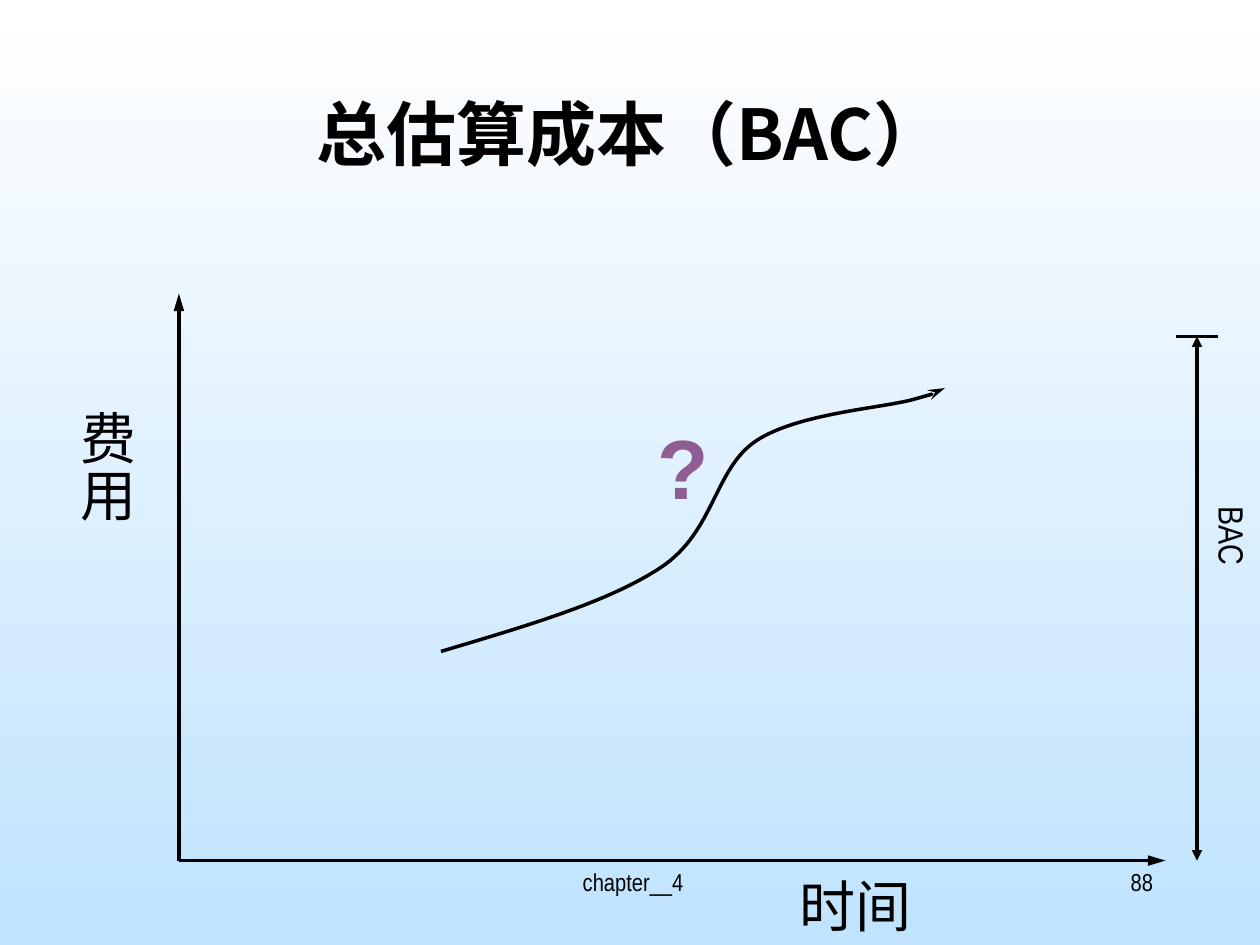
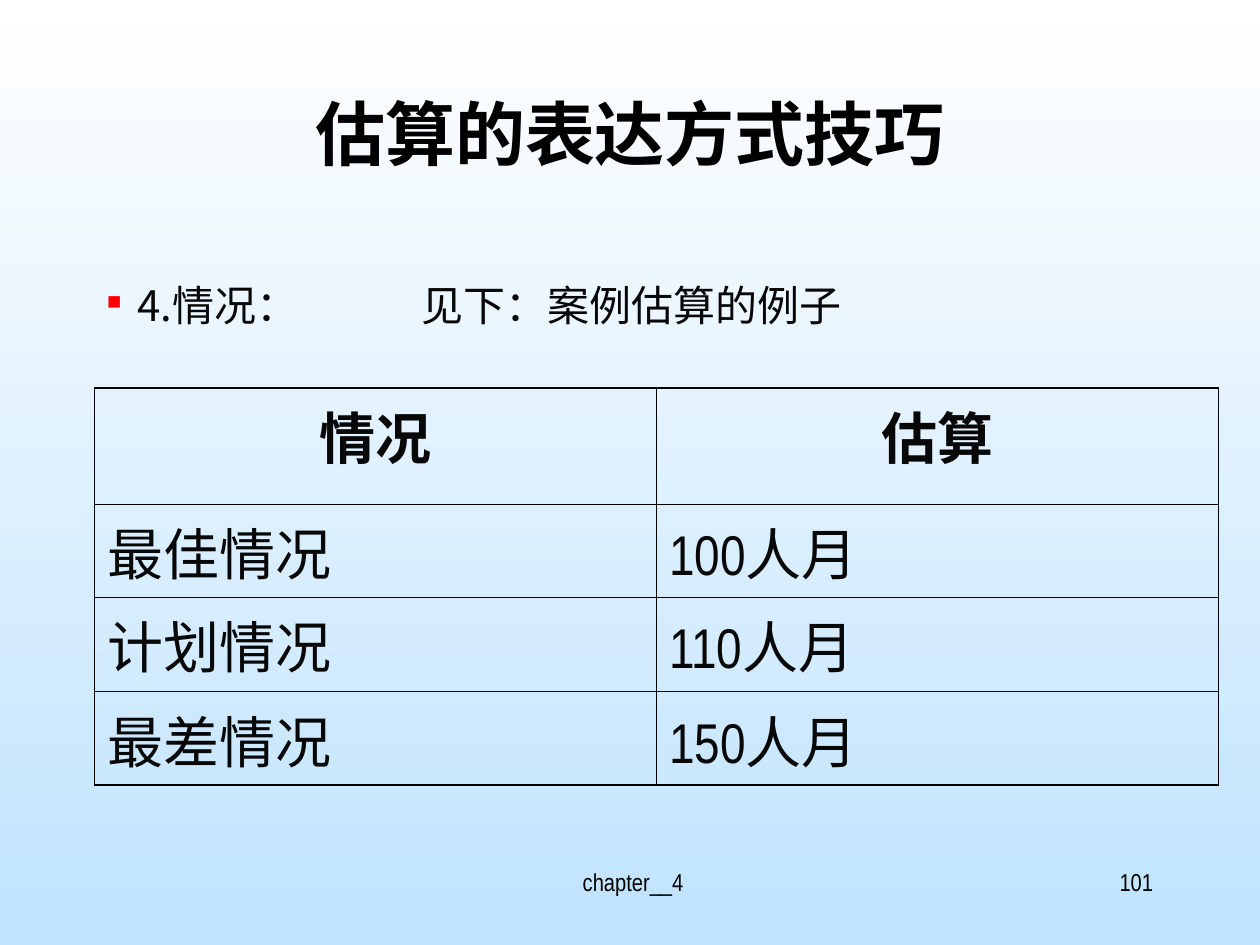
"""Build two slides on cost estimation: the BAC curve and a table of estimate cases."""
from dataclasses import dataclass
from typing import Optional

import pptx
import pptx.dml.color
import pptx.enum.shapes
import pptx.enum.text
import pptx.oxml
import pptx.oxml.ns
import pptx.util
from pptx.util import Inches

ALIGN = pptx.enum.text.PP_ALIGN
ANCHOR = pptx.enum.text.MSO_ANCHOR
NS = pptx.oxml.ns.nsdecls("a")
qn = pptx.oxml.ns.qn


@dataclass(frozen=True)
class Theme:
    ink: str = "000000"
    soft_ink: str = "080808"
    accent: str = "8E5E92"
    bullet: str = "FF0000"
    sky_top: str = "FFFFFF"
    sky_bottom: str = "C0E3FE"
    narrow: str = "Arial Narrow"
    cjk: str = "Noto Sans CJK SC"
    sans: str = "Arial"
    title_size: int = 40
    mark_size: int = 48
    large_size: int = 32
    body_size: int = 24
    label_size: int = 20
    footer_size: int = 14
    line_width: float = 2
    outer_border: float = 1.08
    inner_border: float = 0.45


THEME = Theme()


@dataclass(frozen=True)
class Label:
    text: str
    left: float
    top: float
    width: float
    height: float
    size: int
    font: str = THEME.narrow
    color: str = THEME.ink
    bold: bool = False
    align: ALIGN = ALIGN.LEFT
    vertical: bool = False
    wrap: bool = True


@dataclass(frozen=True)
class Line:
    x1: float
    y1: float
    x2: float
    y2: float
    head: Optional[str] = None
    tail: Optional[str] = None
    length: str = "med"


def rgb(color: str) -> pptx.dml.color.RGBColor:
    return pptx.dml.color.RGBColor.from_string(color)


def add_run(p, text: str, size: int, font: str, color: str, bold: bool = False) -> None:
    r = p.add_run()
    r.text = text
    r.font.size = pptx.util.Pt(size)
    r.font.name = font
    r.font.bold = bold
    r.font.color.rgb = rgb(color)
    ea = pptx.oxml.parse_xml(f'<a:ea {NS} typeface="{THEME.cjk}"/>')
    r.font._element.find(qn("a:latin")).addnext(ea)


def add_label(s, label: Label):
    sp = s.shapes.add_textbox(Inches(label.left), Inches(label.top),
                              Inches(label.width), Inches(label.height))
    tf = sp.text_frame
    tf.word_wrap = label.wrap
    if label.vertical:
        tf._txBody.bodyPr.set("vert", "eaVert")
        tf.margin_left = tf.margin_right = Inches(0.05)
        tf.margin_top = tf.margin_bottom = Inches(0.1)
    p = tf.paragraphs[0]
    p.alignment = label.align
    add_run(p, label.text, label.size, label.font, label.color, label.bold)
    return sp


def style_line(sp, head: Optional[str], tail: Optional[str], length: str) -> None:
    sp.line.color.rgb = rgb(THEME.ink)
    sp.line.width = pptx.util.Pt(THEME.line_width)
    ln = sp.line._get_or_add_ln()
    for tag, kind in (("headEnd", head), ("tailEnd", tail)):
        if kind:
            ln.append(pptx.oxml.parse_xml(
                f'<a:{tag} {NS} type="{kind}" w="med" len="{length}"/>'))


def add_line(s, line: Line) -> None:
    sp = s.shapes.add_connector(pptx.enum.shapes.MSO_CONNECTOR.STRAIGHT,
                                Inches(line.x1), Inches(line.y1),
                                Inches(line.x2), Inches(line.y2))
    style_line(sp, line.head, line.tail, line.length)
    sp._element.spPr.append(pptx.oxml.parse_xml(f"<a:effectLst {NS}/>"))


def add_curve(s, points: list[tuple[float, float]]) -> None:
    start, *rest = [(Inches(x), Inches(y)) for x, y in points]
    fb = s.shapes.build_freeform(*start)
    fb.add_line_segments(rest, close=False)
    sp = fb.convert_to_shape()
    sp.shadow.inherit = False
    sp.fill.background()
    style_line(sp, None, "stealth", "lg")
    segments = sp._element.findall(".//" + qn("a:lnTo"))
    for i in range(0, len(segments), 3):
        bezier = pptx.oxml.parse_xml(f"<a:cubicBezTo {NS}/>")
        segments[i].addprevious(bezier)
        for segment in segments[i:i + 3]:
            bezier.append(segment[0])
            segment.getparent().remove(segment)


def paint_background(prs) -> None:
    fill = prs.slide_master.background.fill
    fill.gradient()
    fill.gradient_angle = 270
    for stop, color, position in zip(fill.gradient_stops,
                                     (THEME.sky_top, THEME.sky_bottom), (0, 1)):
        stop.color.rgb = rgb(color)
        stop.position = position


def add_slide(prs, title: str, number: str):
    s = prs.slides.add_slide(prs.slide_layouts[5])
    sp = s.shapes.title
    sp.left, sp.top, sp.width, sp.height = map(Inches, (0.75, 0.67, 8.5, 1.25))
    tf = sp.text_frame
    tf.word_wrap = True
    tf.auto_size = pptx.enum.text.MSO_AUTO_SIZE.NONE
    tf.vertical_anchor = ANCHOR.TOP
    p = tf.paragraphs[0]
    p.alignment = ALIGN.CENTER
    add_run(p, title, THEME.title_size, THEME.cjk, THEME.ink, True)
    add_label(s, Label("chapter__4", 3.44, 6.83, 3.17, 0.5, THEME.footer_size,
                       align=ALIGN.CENTER))
    add_label(s, Label(number, 7.17, 6.83, 2.08, 0.5, THEME.footer_size,
                       align=ALIGN.RIGHT))
    return s


def add_bullet(s, label: Label, tab: float) -> None:
    p = add_label(s, label).text_frame.paragraphs[0]
    pPr = p._p.get_or_add_pPr()
    pPr.set("marL", str(Inches(0.24)))
    pPr.set("indent", str(-Inches(0.24)))
    for xml in (f'<a:buClr {NS}><a:srgbClr val="{THEME.bullet}"/></a:buClr>',
                f'<a:buSzPct {NS} val="47000"/>',
                f'<a:buChar {NS} char="■"/>',
                f'<a:tabLst {NS}><a:tab pos="{Inches(tab)}" algn="l"/></a:tabLst>'):
        pPr.append(pptx.oxml.parse_xml(xml))


def border_cell(cell, outer: dict[str, bool]) -> None:
    tcPr = cell._tc.get_or_add_tcPr()
    for i, (side, is_outer) in enumerate(outer.items()):
        width = pptx.util.Pt(THEME.outer_border if is_outer else THEME.inner_border)
        tcPr.insert(i, pptx.oxml.parse_xml(
            f'<a:{side} {NS} w="{width}"><a:solidFill>'
            f'<a:srgbClr val="{THEME.ink}"/></a:solidFill></a:{side}>'))


def add_case_table(s, rows: list[tuple[str, str]], heights: list[float]) -> None:
    last_row, last_col = len(rows) - 1, len(rows[0]) - 1
    frame = s.shapes.add_table(len(rows), len(rows[0]), Inches(0.75), Inches(3.08),
                               Inches(8.92), Inches(sum(heights)))
    table = frame.table
    table.first_row = table.horz_banding = False
    for i, (values, height) in enumerate(zip(rows, heights)):
        table.rows[i].height = Inches(height)
        for j, value in enumerate(values):
            cell = table.cell(i, j)
            cell.fill.background()
            p = cell.text_frame.paragraphs[0]
            p.alignment = ALIGN.CENTER if i == 0 else ALIGN.LEFT
            add_run(p, value, THEME.large_size, THEME.narrow, THEME.soft_ink, i == 0)
            border_cell(cell, {"lnL": j == 0, "lnR": j == last_col,
                               "lnT": i == 0, "lnB": i == last_row})


def build_bac_slide(prs) -> None:
    s = add_slide(prs, "总估算成本（BAC）", "88")
    for line in (Line(1.42, 6.83, 9.25, 6.83, tail="triangle", length="lg"),
                 Line(1.42, 6.83, 1.42, 2.33, tail="triangle", length="lg"),
                 Line(9.33, 2.67, 9.67, 2.67),
                 Line(9.5, 2.67, 9.5, 6.83, "triangle", "triangle")):
        add_line(s, line)
    for label in (
            Label("费用", 0.43, 3.16, 0.73, 2.08, THEME.large_size,
                  align=ALIGN.CENTER, vertical=True),
            Label("BAC", 9.47, 3.92, 0.53, 1.33, THEME.label_size,
                  align=ALIGN.CENTER, vertical=True),
            Label("时间", 6.25, 6.87, 1.83, 0.63, THEME.large_size),
            Label("?", 5.12, 3.25, 1.17, 1.75, THEME.mark_size, THEME.sans,
                  THEME.accent, True, wrap=False)):
        add_label(s, label)
    add_curve(s, [(3.5, 5.17),
                  (4.17, 4.97), (4.83, 4.78), (5.25, 4.5),
                  (5.67, 4.22), (5.67, 3.72), (6, 3.5),
                  (6.33, 3.28), (7, 3.24), (7.25, 3.17),
                  (7.5, 3.1), (7.5, 3.09), (7.5, 3.08)])


def build_cases_slide(prs) -> None:
    s = add_slide(prs, "估算的表达方式技巧", "101")
    add_bullet(s, Label("4.情况：\t见下：案例估算的例子", 0.75, 2.17, 8.5, 0.5,
                        THEME.body_size, THEME.cjk, THEME.soft_ink), tab=2.5)
    add_case_table(s, [("情况", "估算"), ("最佳情况", "100人月"),
                       ("计划情况", "110人月"), ("最差情况", "150人月")],
                   [0.92, 0.74, 0.75, 0.74])


def main() -> None:
    prs = pptx.Presentation()
    prs.slide_width, prs.slide_height = Inches(10), Inches(7.5)
    paint_background(prs)
    build_bac_slide(prs)
    build_cases_slide(prs)
    prs.save("out.pptx")


if __name__ == "__main__":
    main()
